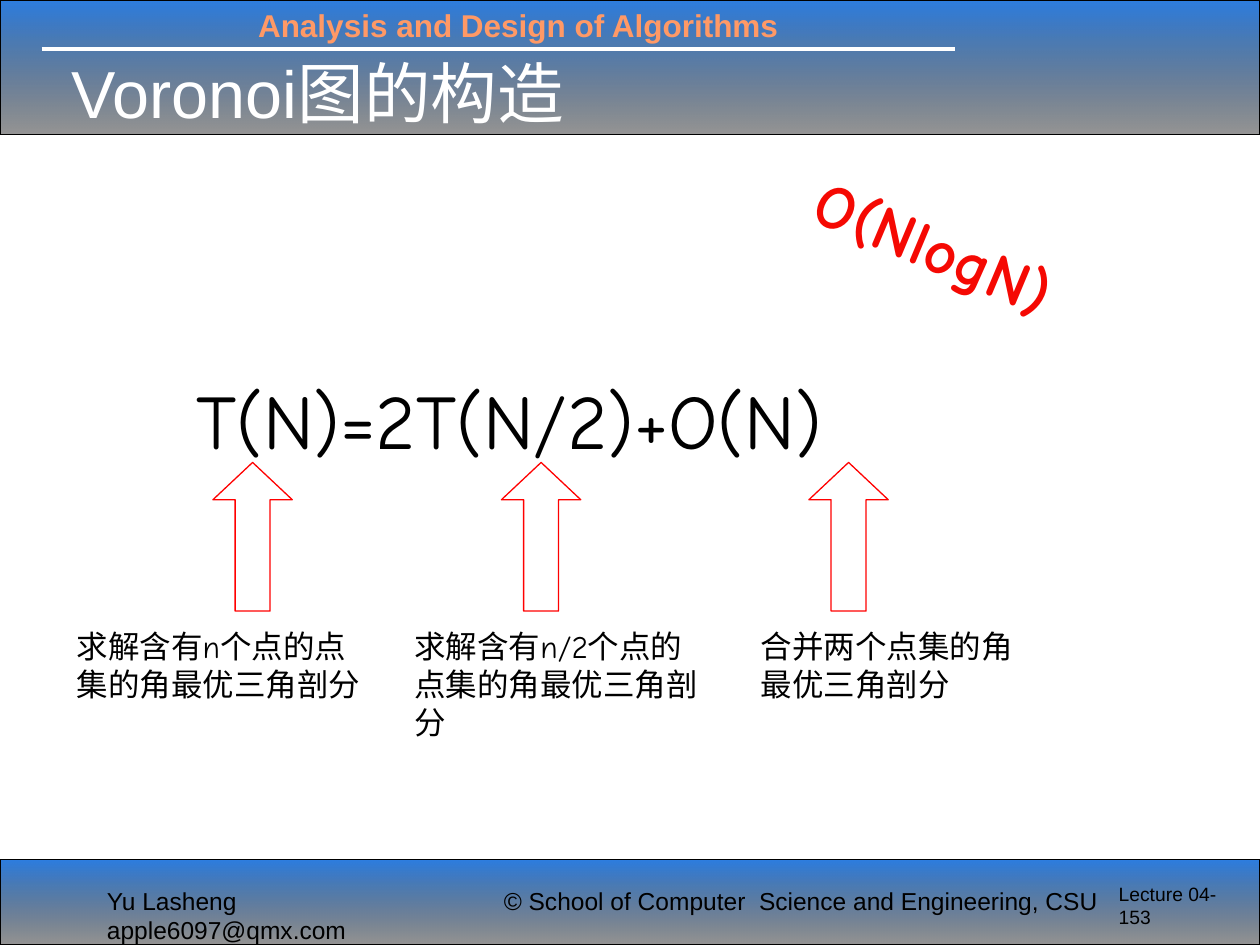
from dataclasses import dataclass

from lxml.etree import SubElement
from pptx import Presentation
from pptx.dml.color import RGBColor
from pptx.enum.shapes import MSO_CONNECTOR, MSO_SHAPE
from pptx.enum.text import MSO_ANCHOR, PP_ALIGN
from pptx.oxml.ns import qn
from pptx.slide import Slide
from pptx.util import Inches, Pt

BLUE = RGBColor(0x0E, 0x6B, 0xDC)
BLACK = RGBColor(0, 0, 0)
WHITE = RGBColor(0xFF, 0xFF, 0xFF)
ORANGE = RGBColor(0xFF, 0x99, 0x66)
RED = RGBColor(0xFF, 0, 0)
RESULT_RED = RGBColor(0xF5, 0x09, 0x03)
BAND_STOPS = ((BLUE, 88), (BLACK, 41))  # colour, opacity in percent


@dataclass(frozen=True)
class Label:
    text: str
    left: float
    top: float
    width: float
    height: float
    size: float
    font: str = "Arial"
    color: RGBColor = BLACK
    bold: bool = False
    wrap: bool = True
    rotation: float = 0


@dataclass(frozen=True)
class Term:
    """A part of the recurrence: its arrow and its explanation."""
    arrow_left: float
    text: str
    text_left: float
    text_width: float


LABELS = (
    Label("Analysis and Design of Algorithms", 1.95, 0, 5, 0.4, 18,
          color=ORANGE, bold=True),
    Label("Yu Lasheng  apple6097@qmx.com", 0.75, 6.98, 3.21, 0.34, 14, wrap=False),
    Label("© School of Computer  Science and Engineering, CSU",
          3.9, 6.98, 5.12, 0.34, 14, wrap=False),
    Label("Lecture 04-153", 8.78, 6.95, 1.22, 0.5, 11),
    Label("T(N)=2T(N/2)+O(N)", 1.46, 2.91, 5.83, 0.83, 44, "Comic Neue"),
    Label("O(NlogN)", 6.32, 1.65, 2.44, 0.7, 36, "Comic Neue",
          RESULT_RED, bold=True, rotation=22.7),
)
TERMS = (
    Term(1.69, "求解含有n个点的点集的角最优三角剖分", 0.51, 2.52),
    Term(3.98, "求解含有n/2个点的点集的角最优三角剖分", 3.19, 2.52),
    Term(6.42, "合并两个点集的角最优三角剖分", 5.94, 2.2),
)


def add_band(slide: Slide, top: float, height: float) -> None:
    """Add a full-width bar with a translucent vertical gradient."""
    band = slide.shapes.add_shape(
        MSO_SHAPE.RECTANGLE, 0, Inches(top), Inches(10), Inches(height))
    band.shadow.inherit = False
    band.fill.gradient()
    band.fill.gradient_angle = 270
    for stop, (color, _) in zip(band.fill.gradient_stops, BAND_STOPS):
        stop.color.rgb = color
    color_elements = list(band._element.spPr.iter(qn("a:srgbClr")))
    for element, (_, opacity) in zip(color_elements, BAND_STOPS):
        SubElement(element, qn("a:alpha")).set("val", str(opacity * 1000))
    band.line.color.rgb = BLACK
    band.line.width = Pt(0.75)


def add_header_rule(slide: Slide) -> None:
    rule = slide.shapes.add_connector(
        MSO_CONNECTOR.STRAIGHT, Inches(0.33), Inches(0.39), Inches(7.58), Inches(0.39))
    rule.line.color.rgb = WHITE
    rule.line.width = Pt(2.25)
    SubElement(rule._element.spPr, qn("a:effectLst"))


def set_title(slide: Slide, text: str) -> None:
    title = slide.shapes.title
    title.left, title.top = Inches(0.47), Inches(0.39)
    title.width, title.height = Inches(7.81), Inches(0.68)
    frame = title.text_frame
    frame.text = text
    frame.vertical_anchor = MSO_ANCHOR.MIDDLE
    paragraph = frame.paragraphs[0]
    paragraph.alignment = PP_ALIGN.LEFT
    font = paragraph.runs[0].font
    font.name, font.size, font.color.rgb = "Arial", Pt(38), WHITE


def add_label(slide: Slide, label: Label) -> None:
    box = slide.shapes.add_textbox(
        Inches(label.left), Inches(label.top), Inches(label.width), Inches(label.height))
    box.rotation = label.rotation
    frame = box.text_frame
    frame.word_wrap = label.wrap
    frame.text = label.text
    font = frame.paragraphs[0].runs[0].font
    font.name, font.size, font.bold = label.font, Pt(label.size), label.bold
    font.color.rgb = label.color


def add_term(slide: Slide, term: Term) -> None:
    arrow = slide.shapes.add_shape(
        MSO_SHAPE.UP_ARROW, Inches(term.arrow_left), Inches(3.67),
        Inches(0.63), Inches(1.18))
    arrow.shadow.inherit = False
    arrow.adjustments[0], arrow.adjustments[1] = 0.44, 0.47
    arrow.fill.background()
    arrow.line.color.rgb = RED
    arrow.line.width = Pt(0.75)
    add_label(slide, Label(term.text, term.text_left, 4.93, term.text_width, 1.3,
                           18, "Comic Neue"))


def main() -> None:
    presentation = Presentation()
    presentation.slide_width, presentation.slide_height = Inches(10), Inches(7.5)
    slide = presentation.slides.add_slide(
        presentation.slide_layouts.get_by_name("Title Only"))
    add_band(slide, 0, 1.07)
    add_band(slide, 6.82, 0.68)
    add_header_rule(slide)
    set_title(slide, "Voronoi图的构造")
    # The title placeholder comes first, so lift it above the bands.
    slide.shapes._spTree.append(slide.shapes.title._element)
    for label in LABELS:
        add_label(slide, label)
    for term in TERMS:
        add_term(slide, term)
    presentation.save("out.pptx")


if __name__ == "__main__":
    main()
